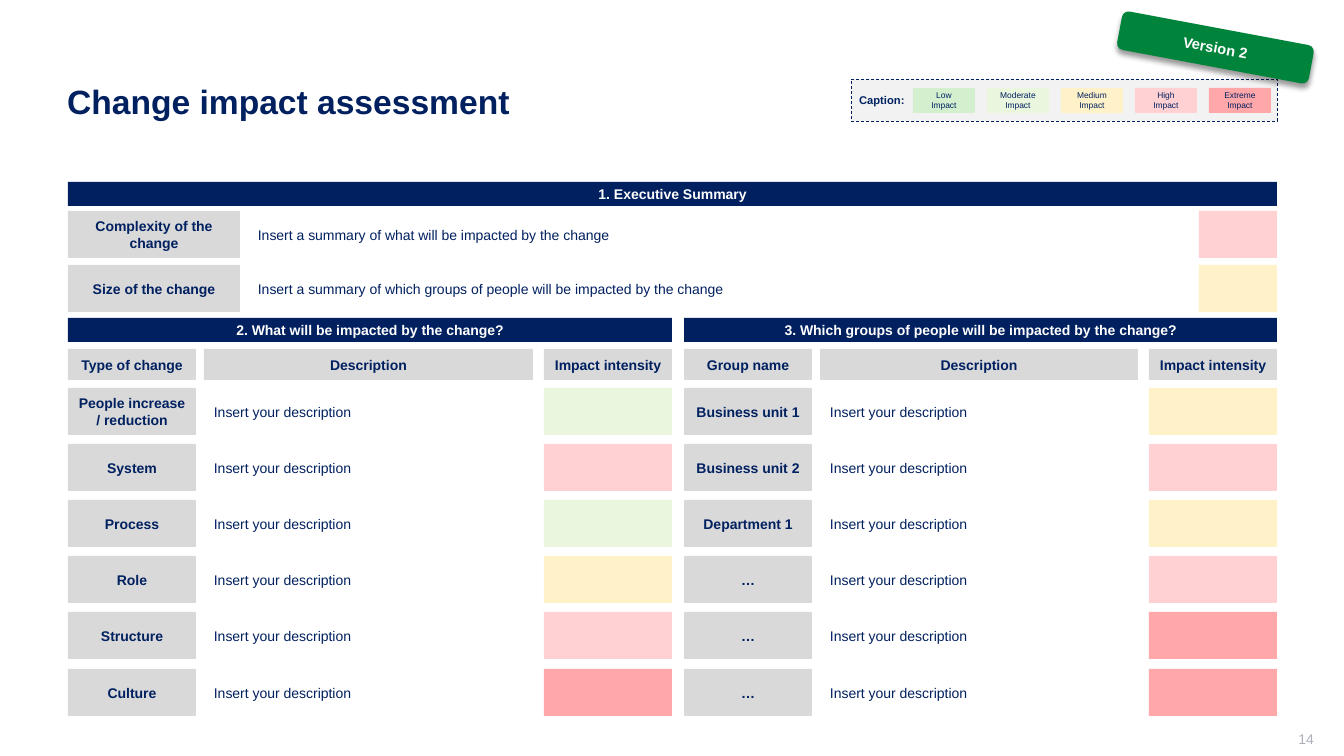
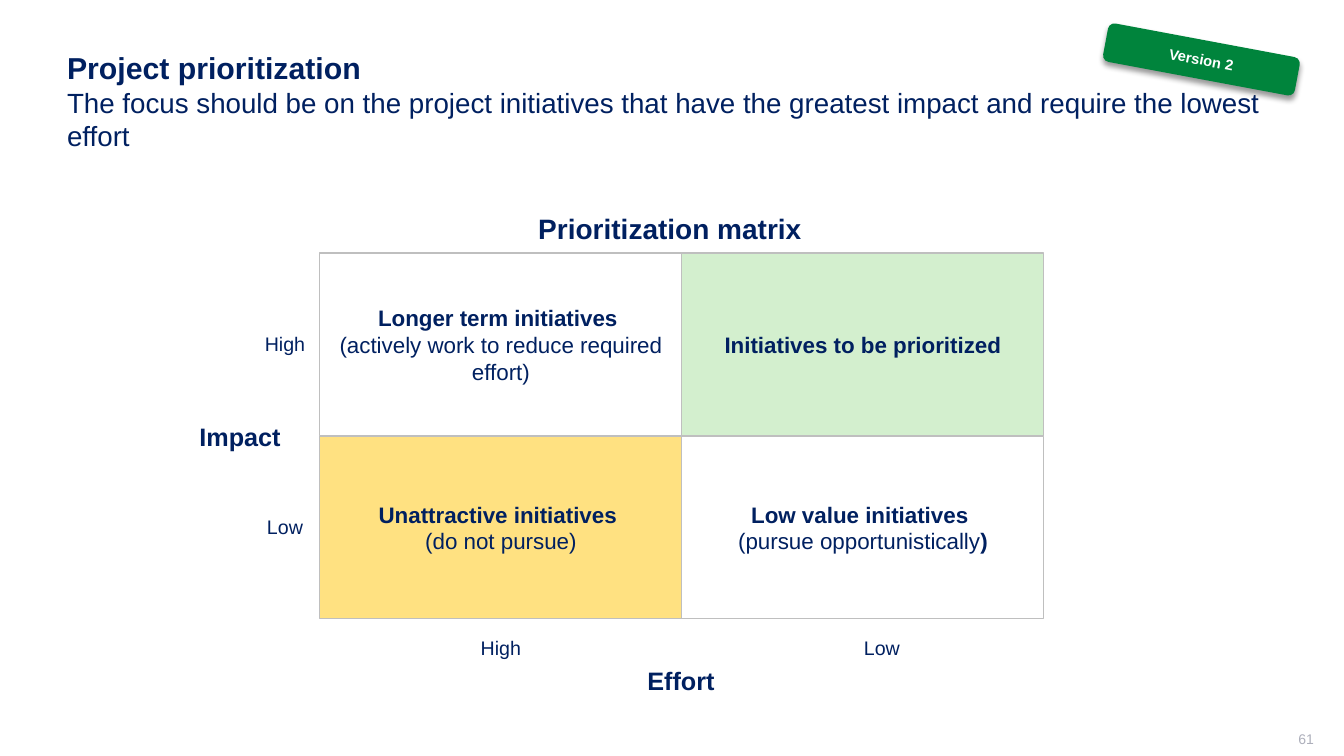
"""Build a change impact assessment slide and a project prioritization slide."""
import lxml.etree
import pptx
import pptx.dml.color
import pptx.enum.dml
import pptx.enum.shapes
import pptx.enum.text
import pptx.oxml
import pptx.oxml.ns
import pptx.util

SCALE = 914400 / 100.8
FONT = "Arial"
NAVY, WHITE, GREEN = "002060", "FFFFFF", "00843C"
LABEL_GREY, FRAME_GREY, BORDER_GREY, PAGE_GREY = "D9D9D9", "F2F2F2", "BFBFBF", "ADAFBB"
IMPACT = {
    "Low": "D3EFCE",
    "Moderate": "EBF6DE",
    "Medium": "FFF2C9",
    "High": "FFD1D2",
    "Extreme": "FFA7A9",
}
ALIGN = pptx.enum.text.PP_ALIGN
RECT = pptx.enum.shapes.MSO_SHAPE.RECTANGLE
ROUNDED = pptx.enum.shapes.MSO_SHAPE.ROUNDED_RECTANGLE


def rgb(hex_string):
    return pptx.dml.color.RGBColor.from_string(hex_string)


def panel(slide, box, text="", size=10, bold=False, color=NAVY, fill=None,
          align=ALIGN.CENTER, line=None, outline=RECT):
    place = [round(px * SCALE) for px in box]
    if fill:
        shape = slide.shapes.add_shape(outline, *place)
        shape.shadow.inherit = False
        shape.fill.solid()
        shape.fill.fore_color.rgb = rgb(fill)
        if line:
            shape.line.color.rgb = rgb(line)
            shape.line.width = pptx.util.Pt(0.75)
        else:
            shape.line.fill.background()
    else:
        shape = slide.shapes.add_textbox(*place)
    frame = shape.text_frame
    if not fill:
        frame.margin_left = frame.margin_right = frame.margin_top = frame.margin_bottom = 0
    frame.word_wrap = True
    frame.vertical_anchor = pptx.enum.text.MSO_ANCHOR.MIDDLE
    frame.text = text
    for paragraph in frame.paragraphs:
        paragraph.alignment = align
        for run in paragraph.runs:
            run.font.name = FONT
            run.font.size = pptx.util.Pt(size)
            run.font.bold = bold
            run.font.color.rgb = rgb(color)
    return shape


deck = pptx.Presentation()
deck.slide_width = round(1344 * SCALE)
deck.slide_height = round(756 * SCALE)
layout = deck.slide_layouts[5]
headline = layout.placeholders[0]
headline.left, headline.top, headline.width, headline.height = [
    round(px * SCALE) for px in (57, 41, 1221, 120)]

headings = [
    ("14", [("Change impact assessment", 24, True)]),
    ("61", [
        ("Project prioritization", 21.6, True),
        ("The focus should be on the project initiatives that have the greatest impact"
         " and require the lowest effort", 19.8, False),
    ]),
]
for page, title_lines in headings:
    slide = deck.slides.add_slide(layout)
    title = slide.shapes.title.text_frame
    title.text = "\n".join(text for text, size, bold in title_lines)
    title.auto_size = pptx.enum.text.MSO_AUTO_SIZE.NONE
    title.vertical_anchor = pptx.enum.text.MSO_ANCHOR.MIDDLE
    for paragraph, (text, size, bold) in zip(title.paragraphs, title_lines):
        paragraph.alignment = ALIGN.LEFT
        font = paragraph.runs[0].font
        font.name = FONT
        font.size = pptx.util.Pt(size)
        font.bold = bold
        font.color.rgb = rgb(NAVY)
    panel(slide, (1012, 729, 302, 20), page, color=PAGE_GREY, align=ALIGN.RIGHT)
assessment, prioritization = deck.slides

panel(assessment, (68, 182, 1209, 24), "1. Executive Summary", bold=True, color=WHITE, fill=NAVY)
summary = [
    ("Complexity of the change", "Insert a summary of what will be impacted by the change", "High"),
    ("Size of the change",
     "Insert a summary of which groups of people will be impacted by the change", "Medium"),
]
for row, (aspect, description, level) in enumerate(summary):
    top = 211 + 54 * row
    panel(assessment, (68, top, 172, 47), aspect, bold=True, fill=LABEL_GREY)
    panel(assessment, (248, top, 943, 47), description, fill=WHITE, align=ALIGN.LEFT)
    panel(assessment, (1199, top, 78, 47), fill=IMPACT[level])

sections = [
    ("2. What will be impacted by the change?", "Type of change", 68, 604, [
        ("People increase / reduction", "Moderate"),
        ("System", "High"),
        ("Process", "Moderate"),
        ("Role", "Medium"),
        ("Structure", "High"),
        ("Culture", "Extreme"),
    ]),
    ("3. Which groups of people will be impacted by the change?", "Group name", 684, 593, [
        ("Business unit 1", "Medium"),
        ("Business unit 2", "High"),
        ("Department 1", "Medium"),
        ("…", "High"),
        ("…", "Extreme"),
        ("…", "Extreme"),
    ]),
]
for question, subject, left, width, impacts in sections:
    panel(assessment, (left, 318, width, 24), question, bold=True, color=WHITE, fill=NAVY)
    columns = [(left, 128), (left + 136, width - 275), (left + width - 128, 128)]
    for heading, (x, w) in zip((subject, "Description", "Impact intensity"), columns):
        panel(assessment, (x, 349, w, 31), heading, bold=True, fill=LABEL_GREY)
    for row, (item, level) in enumerate(impacts):
        cells = [(x, 388 + 281 * row // 5, w, 47) for x, w in columns]
        panel(assessment, cells[0], item, bold=True, fill=LABEL_GREY)
        panel(assessment, cells[1], "Insert your description", fill=WHITE, align=ALIGN.LEFT)
        panel(assessment, cells[2], fill=IMPACT[level])

caption = panel(assessment, (851, 79, 426, 42), "Caption:", 8, True,
                fill=FRAME_GREY, align=ALIGN.LEFT, line=NAVY)
caption.line.width = pptx.util.Pt(0.5)
caption.line.dash_style = pptx.enum.dml.MSO_LINE.DASH
caption.text_frame.margin_left = round(8 * SCALE)
for step, (level, tint) in enumerate(IMPACT.items()):
    key = panel(assessment, (913 + 74 * step, 88, 62, 25), level + " Impact", 6,
                fill=tint, outline=ROUNDED)
    key.adjustments[0] = 0.04

axis_labels = [
    ("Prioritization matrix", 670, 228, 400, 20, True),
    ("Impact", 240, 436, 120, 18, True),
    ("Effort", 681, 680, 120, 18, True),
    ("High", 285, 344, 60, 14, False),
    ("Low", 285, 527, 60, 14, False),
    ("High", 501, 648, 60, 14, False),
    ("Low", 882, 648, 60, 14, False),
]
for text, center, middle, width, size, bold in axis_labels:
    panel(prioritization, (center - width // 2, middle - 17, width, 34), text, size, bold)

quadrants = [
    ("Longer term initiatives ", ["(actively work to reduce required effort)"], WHITE),
    ("Initiatives to be prioritized", [], IMPACT["Low"]),
    ("Unattractive initiatives ", ["(do not pursue)"], "FFE181"),
    ("Low value initiatives ", ["(pursue opportunistically", ")"], WHITE),
]
for index, (name, advice, tint) in enumerate(quadrants):
    row, column = divmod(index, 2)
    quadrant = panel(prioritization, (320 + 362 * column, 253 + 183 * row, 362, 183),
                     name, 16, True, fill=tint, line=BORDER_GREY)
    if advice:
        paragraph = quadrant.text_frame.add_paragraph()
        paragraph.alignment = ALIGN.CENTER
        for order, part in enumerate(advice):
            run = paragraph.add_run()
            run.text = part
            run.font.name = FONT
            run.font.size = pptx.util.Pt(16)
            run.font.bold = order == 1
            run.font.color.rgb = rgb(NAVY)

for slide, left, top in ((assessment, 1118, 28), (prioritization, 1104, 40)):
    badge = panel(slide, (left, top, 195, 39), "Version 2", 10.5, True, WHITE,
                  fill=GREEN, outline=ROUNDED)
    badge.rotation = 10.6
    effects = badge._element.spPr.find(pptx.oxml.ns.qn("a:effectLst"))
    shadow = lxml.etree.SubElement(
        effects, pptx.oxml.ns.qn("a:outerShdw"), blurRad="50800", dist="38100",
        dir="5400000", algn="t", rotWithShape="0")
    shade = lxml.etree.SubElement(shadow, pptx.oxml.ns.qn("a:srgbClr"), val="000000")
    lxml.etree.SubElement(shade, pptx.oxml.ns.qn("a:alpha"), val="40000")

deck.save("out.pptx")
